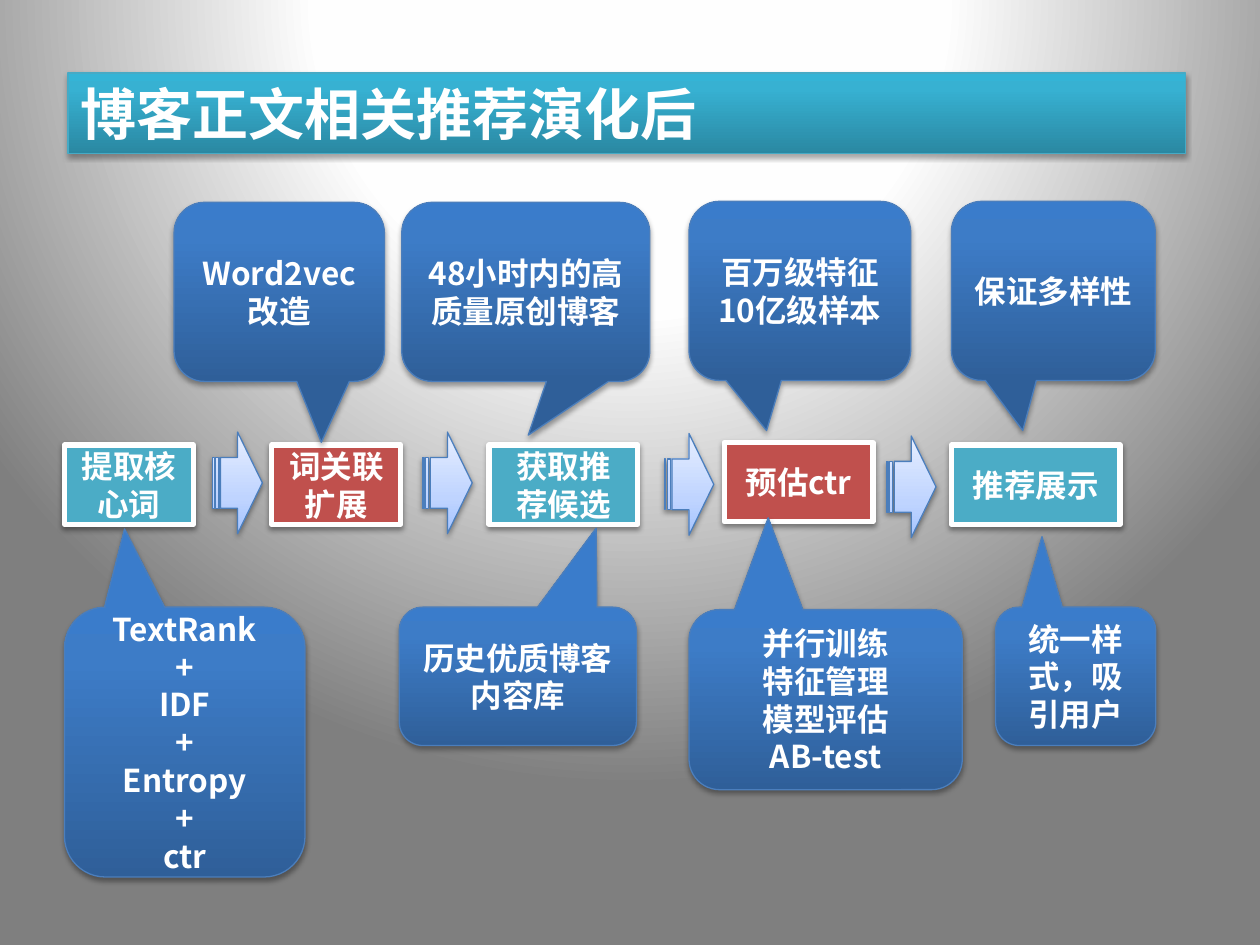
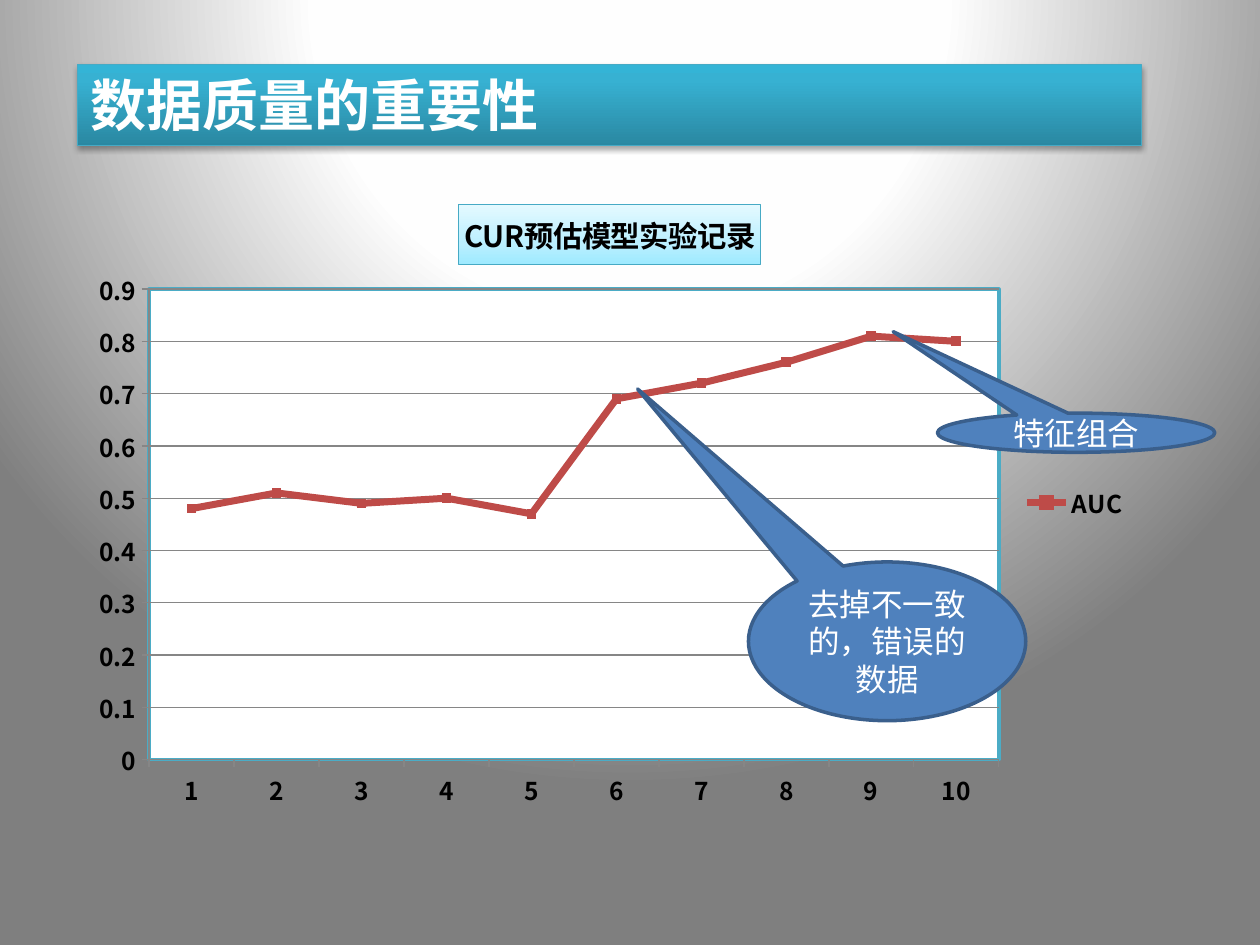
from pptx import Presentation
from pptx.chart.data import CategoryChartData
from pptx.dml.color import RGBColor
from pptx.enum.chart import XL_CHART_TYPE, XL_LEGEND_POSITION, XL_MARKER_STYLE, XL_TICK_MARK
from pptx.enum.shapes import MSO_SHAPE
from pptx.enum.text import MSO_ANCHOR, PP_ALIGN
from pptx.oxml import parse_xml
from pptx.oxml.ns import nsdecls, qn
from pptx.util import Cm, Pt

# Shared look
FONT = "Noto Sans CJK SC"
WHITE = RGBColor(0xFF, 0xFF, 0xFF)
BLACK = RGBColor(0x00, 0x00, 0x00)
TEAL = RGBColor(0x4B, 0xAC, 0xC6)
RED = RGBColor(0xC0, 0x50, 0x4D)
BLUE = RGBColor(0x4F, 0x81, 0xBD)
NAVY = RGBColor(0x3A, 0x5F, 0x8C)
EDGE = RGBColor(0x4B, 0x7E, 0xBC)
RIM = RGBColor(0x46, 0xAA, 0xC5)
GREY = RGBColor(0x86, 0x86, 0x86)
CURVE = RGBColor(0xBE, 0x4B, 0x48)

# Gradients: (position in percent, colour)
GLOW = [(0, WHITE), (40, RGBColor(0xFE, 0xFE, 0xFE)), (100, RGBColor(0x7F, 0x7F, 0x7F))]
DEEP = [(0, RGBColor(0x2F, 0x5F, 0x99)), (80, RGBColor(0x3D, 0x7C, 0xC7)),
        (100, RGBColor(0x3A, 0x7C, 0xCB))]
PALE = [(0, RGBColor(0xA4, 0xC4, 0xFF)), (35, RGBColor(0xBF, 0xD4, 0xFF)),
        (100, RGBColor(0xE6, 0xEE, 0xFF))]
BAND = [(0, RGBColor(0x2A, 0x88, 0xA2)), (80, RGBColor(0x37, 0xB1, 0xD2)),
        (100, RGBColor(0x34, 0xB4, 0xD6))]
ICE = [(0, RGBColor(0x9E, 0xEA, 0xFF)), (35, RGBColor(0xBB, 0xEF, 0xFF)),
       (100, RGBColor(0xE4, 0xF9, 0xFF))]
UPWARD = '<a:lin {} ang="16200000" scaled="0"/>'
CIRCLE = ('<a:path {} path="circle"><a:fillToRect l="50000" t="-80000" '
          'r="50000" b="180000"/></a:path>')

# Shadows: opacity in percent, blur and distance in points
SOFT = (38, 3.1, 1.6)
FIRM = (35, 3.1, 1.8)

# Slide 1: steps (text, left, top, width, colour), all of one height
STEP_H = 1.6
STEPS = [
    ("提取核心词", 1.3, 8.97, 2.6, TEAL),
    ("词关联扩展", 5.48, 8.97, 2.6, RED),
    ("获取推荐候选", 9.86, 8.97, 3, TEAL),
    ("预估ctr", 14.6, 8.92, 3, RED),
    ("推荐展示", 19.18, 8.97, 3.4, TEAL),
]
ARROWS = [(4.29, 8.71), (8.52, 8.71), (13.39, 8.74), (17.87, 8.79)]
ARROW_W, ARROW_H = 1, 2.05

# Callouts (lines, left, top, width, height, tip x, tip y)
NOTES = [
    (["Word2vec改造"], 3.51, 4.08, 4.24, 3.61, 0.2, 0.84),
    (["48小时内的高质量原创博客"], 8.1, 4.08, 5, 3.61, 0.01, 0.8),
    (["百万级特征", "10亿级样本"], 13.89, 4.06, 4.47, 3.61, -0.15, 0.78),
    (["保证多样性"], 19.18, 4.06, 4.11, 3.61, -0.15, 0.78),
    (["TextRank", "+", "IDF", "+", "Entropy", "+", "ctr"],
     1.3, 12.24, 4.85, 5.44, -0.25, -0.79),
    (["历史优质博客内容库"], 8.05, 12.24, 4.78, 2.79, 0.33, -1.07),
    (["并行训练", "特征管理", "模型评估", "AB-test"],
     13.89, 12.29, 5.51, 3.63, -0.21, -1.01),
    (["统一样式，吸引用户"], 20.07, 12.24, 3.23, 2.79, -0.21, -1.01),
]

# Slide 2: chart and remarks (text, left, top, width, height, tip x, tip y)
AUC = [0.48, 0.51, 0.49, 0.5, 0.47, 0.69, 0.72, 0.76, 0.81, 0.8]
REMARKS = [
    ("去掉不一致的，错误的数据", 15.09, 11.33, 5.59, 3.2, -0.9, -1.59),
    ("特征组合", 18.9, 8.33, 5.59, 0.79, -0.66, -2.58),
]


def blend(fill, root, stops, way=UPWARD):
    """Give a fill its gradient stops and direction."""
    fill.gradient()
    grad = next(root.iter(qn("a:gradFill")))
    for part in list(grad):
        grad.remove(part)
    marks = "".join(f'<a:gs pos="{pos * 1000}"><a:srgbClr val="{tone}"/></a:gs>'
                    for pos, tone in stops)
    grad.append(parse_xml(f'<a:gsLst {nsdecls("a")}>{marks}</a:gsLst>'))
    grad.append(parse_xml(way.format(nsdecls("a"))))


def set_font(font, size, color, bold):
    font.name, font.size, font.bold = FONT, Pt(size), bold
    font.color.rgb = color


def add_ea(root):
    """Use the font for Chinese characters too."""
    for latin in list(root.iter(qn("a:latin"))):
        latin.addnext(parse_xml(f'<a:ea {nsdecls("a")} typeface="{FONT}"/>'))


def draw(slide, kind, box, fill, edge, width, shade=None, tip=()):
    shape = slide.shapes.add_shape(kind, *[Cm(n) for n in box])
    for i, val in enumerate(tip):
        shape.adjustments[i] = val
    if isinstance(fill, list):
        blend(shape.fill, shape.element, fill)
    else:
        shape.fill.solid()
        shape.fill.fore_color.rgb = fill
    shape.line.color.rgb, shape.line.width = edge, Pt(width)
    shape.shadow.inherit = False
    if shade:
        alpha, blur, dist = shade
        shape.element.spPr.find(qn("a:effectLst")).append(parse_xml(
            f'<a:outerShdw {nsdecls("a")} blurRad="{Pt(blur)}" dist="{Pt(dist)}" '
            f'dir="5400000" rotWithShape="0"><a:srgbClr val="000000">'
            f'<a:alpha val="{alpha * 1000}"/></a:srgbClr></a:outerShdw>'))
    return shape


def write(shape, lines, size=18, bold=True, align=PP_ALIGN.CENTER,
          anchor=MSO_ANCHOR.MIDDLE):
    frame = shape.text_frame
    frame.word_wrap, frame.vertical_anchor = True, anchor
    frame.text = "\n".join(lines)
    for para in frame.paragraphs:
        para.alignment = align
        for run in para.runs:
            set_font(run.font, size, WHITE, bold)
    add_ea(shape.element)


def new_slide(deck):
    slide = deck.slides.add_slide(deck.slide_layouts[6])
    blend(slide.background.fill, slide.element, GLOW, CIRCLE)
    return slide


def add_title(slide, text, left, top, width):
    band = draw(slide, MSO_SHAPE.RECTANGLE, (left, top, width, 1.63),
                BAND, RIM, 0.75, FIRM)
    write(band, [text], 32, align=PP_ALIGN.LEFT, anchor=MSO_ANCHOR.TOP)


def add_flow(slide):
    for text, left, top, width, color in STEPS:
        step = draw(slide, MSO_SHAPE.RECTANGLE, (left, top, width, STEP_H),
                    color, WHITE, 3, SOFT)
        write(step, [text])
    for left, top in ARROWS:
        draw(slide, MSO_SHAPE.STRIPED_RIGHT_ARROW, (left, top, ARROW_W, ARROW_H),
             PALE, EDGE, 0.75, SOFT)
    for lines, *box, tip_x, tip_y in NOTES:
        note = draw(slide, MSO_SHAPE.ROUNDED_RECTANGULAR_CALLOUT, box,
                    DEEP, EDGE, 0.75, FIRM, (tip_x, tip_y, 0.17))
        write(note, lines)


def add_plot(slide):
    data = CategoryChartData()
    data.categories = [str(n + 1) for n in range(len(AUC))]
    data.add_series("AUC", AUC)
    chart = slide.shapes.add_chart(XL_CHART_TYPE.LINE_MARKERS, Cm(1.57), Cm(3.73),
                                   Cm(21.44), Cm(12.8), data).chart
    set_font(chart.font, 14, BLACK, True)

    # Heading and legend
    chart.has_title = True
    head = chart.chart_title
    head.include_in_layout = False
    head.text_frame.text = "CUR预估模型实验记录"
    set_font(head.text_frame.paragraphs[0].runs[0].font, 16.8, BLACK, True)
    blend(head.format.fill, head.element, ICE)
    head.format.line.color.rgb, head.format.line.width = RIM, Pt(0.75)
    chart.has_legend = True
    chart.legend.position = XL_LEGEND_POSITION.RIGHT
    chart.legend.include_in_layout = False

    # Axes
    for axis in (chart.category_axis, chart.value_axis):
        axis.major_tick_mark = XL_TICK_MARK.OUTSIDE
        axis.format.line.color.rgb = GREY
    scale = chart.value_axis
    scale.minimum_scale, scale.maximum_scale, scale.major_unit = 0, 0.9, 0.1
    scale.tick_labels.number_format = "General"
    scale.tick_labels.number_format_is_linked = False
    scale.major_gridlines.format.line.color.rgb = GREY

    # Curve
    plot = chart.plots[0]
    plot.vary_by_categories = False
    curve = plot.series[0]
    curve.smooth = False
    curve.format.line.color.rgb, curve.format.line.width = CURVE, Pt(4)
    mark = curve.marker
    mark.style, mark.size = XL_MARKER_STYLE.SQUARE, 5
    mark.format.fill.solid()
    mark.format.fill.fore_color.rgb = CURVE
    mark.format.line.color.rgb = CURVE

    # Plot area: place, white fill and teal border
    area = next(chart.element.iter(qn("c:plotArea")))
    for old in area.findall(qn("c:layout")):
        area.remove(old)
    place = "".join(f'<c:{key} val="{val}"/>' for key, val in (
        ("layoutTarget", "inner"), ("xMode", "edge"), ("yMode", "edge"),
        ("x", 0.067), ("y", 0.164), ("w", 0.799), ("h", 0.741)))
    area.insert(0, parse_xml(f'<c:layout {nsdecls("c")}><c:manualLayout>{place}'
                             '</c:manualLayout></c:layout>'))
    area.append(parse_xml(
        f'<c:spPr {nsdecls("c", "a")}><a:solidFill><a:srgbClr val="{WHITE}"/></a:solidFill>'
        f'<a:ln w="{Pt(2)}"><a:solidFill><a:srgbClr val="{TEAL}"/></a:solidFill></a:ln>'
        '</c:spPr>'))
    add_ea(chart.element)


def main():
    deck = Presentation()
    deck.slide_width, deck.slide_height = Cm(25.4), Cm(19.05)

    # Slide 1: recommendation flow
    slide = new_slide(deck)
    add_title(slide, "博客正文相关推荐演化后", 1.37, 1.47, 22.53)
    add_flow(slide)

    # Slide 2: experiment record
    slide = new_slide(deck)
    add_plot(slide)
    add_title(slide, "数据质量的重要性", 1.57, 1.3, 21.44)
    for text, *box, tip_x, tip_y in REMARKS:
        remark = draw(slide, MSO_SHAPE.OVAL_CALLOUT, box, BLUE, NAVY, 2,
                      tip=(tip_x, tip_y))
        write(remark, [text], bold=False)

    deck.save("out.pptx")


if __name__ == "__main__":
    main()
